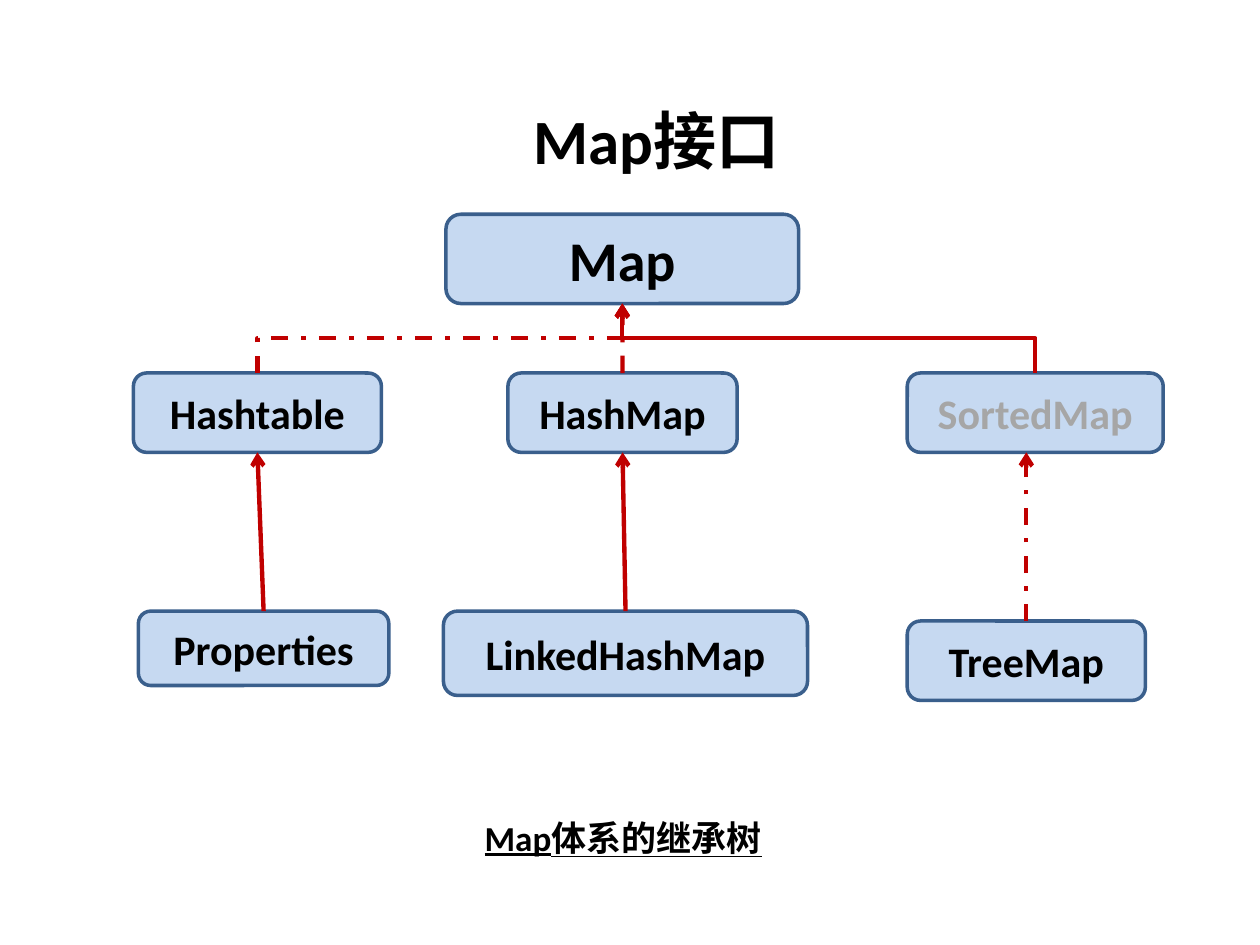
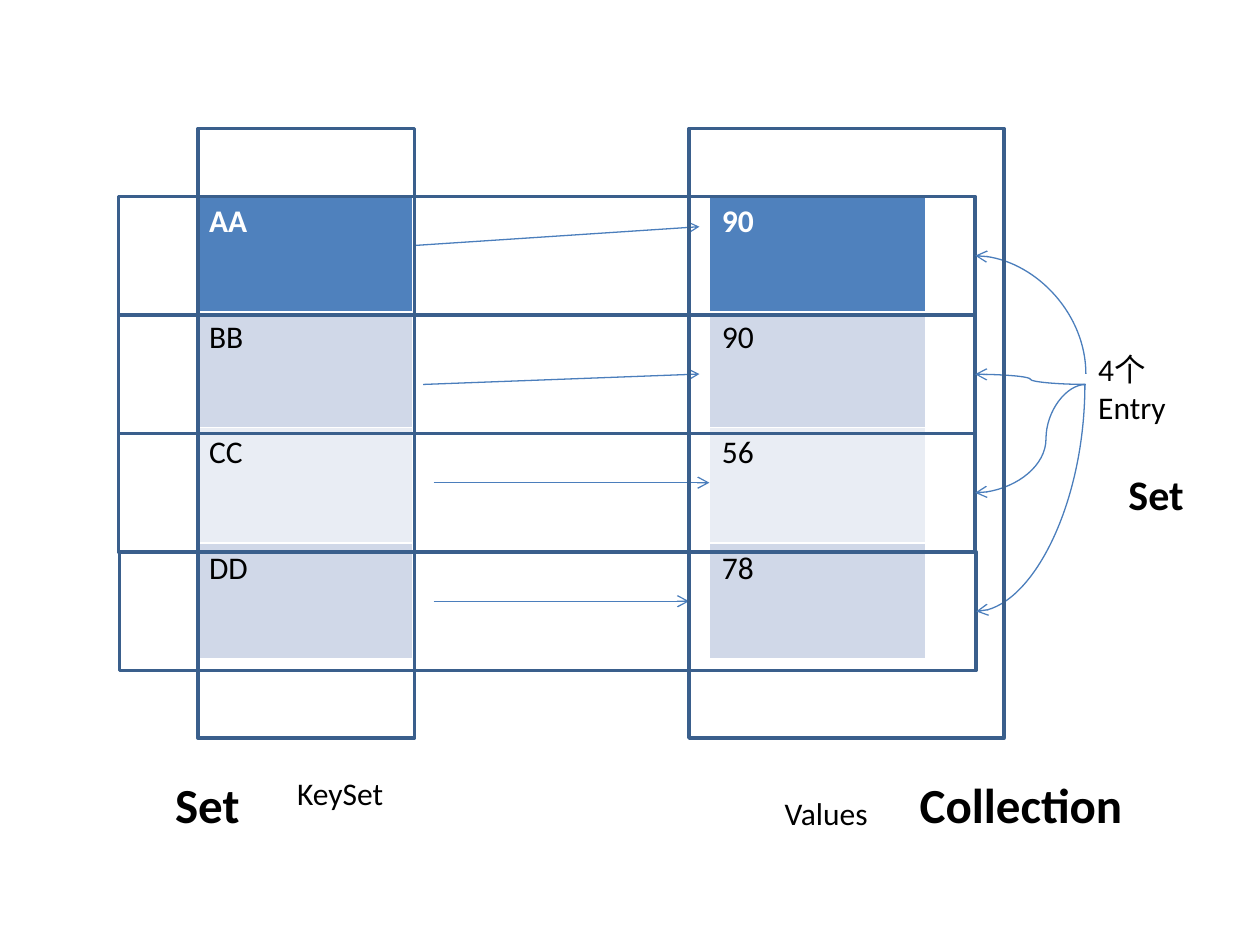
from dataclasses import dataclass

from lxml import etree
from pptx import Presentation
from pptx.dml.color import RGBColor
from pptx.enum.dml import MSO_LINE
from pptx.enum.shapes import MSO_CONNECTOR, MSO_SHAPE
from pptx.enum.text import MSO_ANCHOR, MSO_AUTO_SIZE, PP_ALIGN
from pptx.oxml.ns import qn
from pptx.util import Cm, Pt

STRAIGHT, ELBOW, CURVE = MSO_CONNECTOR.STRAIGHT, MSO_CONNECTOR.ELBOW, MSO_CONNECTOR.CURVE
RECT, ROUNDED = MSO_SHAPE.RECTANGLE, MSO_SHAPE.ROUNDED_RECTANGLE
DASH_DOT = MSO_LINE.DASH_DOT
MIDDLE, CENTER = MSO_ANCHOR.MIDDLE, PP_ALIGN.CENTER
FIT_SHAPE = MSO_AUTO_SIZE.SHAPE_TO_FIT_TEXT
TITLE_ONLY, BLANK = 5, 6


@dataclass(frozen=True)
class Theme:
    font: str = "Calibri"
    ink: str = "000000"
    white: str = "FFFFFF"
    muted: str = "A6A6A6"
    node: str = "C6D9F1"
    outline: str = "3A5F8C"
    inherit: str = "C00000"
    mapping: str = "4B7EBC"
    rows: tuple = ("4F81BD", "D0D8E8", "E9EDF4", "D0D8E8")
    title: int = 36
    root: int = 32
    kind: int = 28
    type_name: int = 24
    caption: int = 20
    body: int = 18
    outline_width: float = 2
    inherit_width: float = 2.5
    mapping_width: float = 0.75


THEME = Theme()

TITLE = ("Map接口", (7.29, 1.52, 11.89, 2.57))
CAPTION = ("Map体系的继承树", (9.52, 16.33, 6.65, 1.12))
TYPES = {
    "Map": (8.99, 4.32, 7.11, 1.8),
    "Hashtable": (2.69, 7.52, 5, 1.6),
    "HashMap": (10.24, 7.52, 4.62, 1.6),
    "SortedMap": (18.29, 7.52, 5.16, 1.6),
    "Properties": (2.79, 12.32, 5.05, 1.5),
    "LinkedHashMap": (8.94, 12.32, 7.34, 1.7),
    "TreeMap": (18.29, 12.52, 4.8, 1.6),
}
INHERITANCE = [
    ("Hashtable", "Map", ELBOW, True),
    ("SortedMap", "Map", ELBOW, False),
    ("TreeMap", "SortedMap", STRAIGHT, True),
    ("Properties", "Hashtable", STRAIGHT, False),
    ("LinkedHashMap", "HashMap", STRAIGHT, False),
    ("HashMap", "Map", STRAIGHT, True),
]

KEYS = ["AA", "BB", "CC", "DD"]
VALUES = ["90", "90", "56", "78"]
COLUMN_LEFTS = (3.96, 14.3)
COLUMN_WIDTH, ROW_HEIGHT = 4.37, 2.33
ENTRY_TOP, ENTRY_WIDTH, ENTRY_HEIGHT = 3.96, 17.27, 2.39
ENTRY_LEFTS = (2.39, 2.39, 2.39, 2.41)
KEY_FRAME = (3.99, 2.59, 4.37, 12.29)
VALUE_FRAME = (13.89, 2.59, 6.35, 12.29)
KEY_TO_VALUE = [
    ((8.33, 4.95), (14.1, 4.57)),
    ((8.53, 7.75), (14.1, 7.54)),
    ((8.74, 9.73), (14.3, 9.73)),
    ((8.74, 12.12), (13.89, 12.12)),
]
ENTRY_POINTERS = [
    ((21.89, 7.54), True, None),
    ((21.89, 7.75), False, None),
    ((21.89, 7.75), False, 0.36),
    ((21.87, 7.75), True, None),
]
LABELS = [
    ("KeySet", (5.74, 15.47, 2.97, 1.02), THEME.body, False),
    ("Values", (15.57, 15.88, 2.97, 1.02), THEME.body, False),
    ("4个Entry", (21.89, 6.93, 2.79, 1.8), THEME.body, False),
    ("Set", (3.28, 15.49, 3.51, 1.45), THEME.kind, True),
    ("Collection", (18.29, 15.49, 5.99, 1.45), THEME.kind, True),
    ("Set", (22.5, 9.32, 2.21, 1.27), THEME.type_name, True),
]


def rgb(value):
    return RGBColor.from_string(value)


def cm(lengths):
    return [Cm(length) for length in lengths]


def write(frame, text, size, bold=False, color=THEME.ink, align=None, underline=None):
    frame.text = text
    paragraph = frame.paragraphs[0]
    paragraph.alignment = align
    font = paragraph.font
    font.name, font.size, font.bold, font.underline = THEME.font, Pt(size), bold, underline
    font.color.rgb = rgb(color)


def add_label(slide, text, box, size, bold, underline=None):
    frame = slide.shapes.add_textbox(*cm(box)).text_frame
    frame.word_wrap = True
    frame.auto_size = FIT_SHAPE
    write(frame, text, size, bold, underline=underline)


def add_box(slide, preset, box, fill=None):
    shape = slide.shapes.add_shape(preset, *cm(box))
    shape.shadow.inherit = False
    if fill:
        shape.fill.solid()
        shape.fill.fore_color.rgb = rgb(fill)
    else:
        shape.fill.background()
    shape.line.color.rgb = rgb(THEME.outline)
    shape.line.width = Pt(THEME.outline_width)
    return shape


def add_arrow(slide, kind, start, end, color, width, dashed=False):
    arrow = slide.shapes.add_connector(kind, *cm(start + end))
    arrow.line.color.rgb = rgb(color)
    arrow.line.width = Pt(width)
    if dashed:
        arrow.line.dash_style = DASH_DOT
    properties = arrow._element.spPr
    etree.SubElement(properties.find(qn("a:ln")), qn("a:tailEnd"), type="arrow")
    etree.SubElement(properties, qn("a:effectLst"))
    return arrow


def leave_vertically(arrow, start, end):
    (x1, y1), (x2, y2) = start, end
    dx, dy = x2 - x1, y2 - y1
    along, across = abs(dy), abs(dx)
    arrow.left, arrow.top = Cm((x1 + x2 - along) / 2), Cm((y1 + y2 - across) / 2)
    arrow.width, arrow.height = Cm(along), Cm(across)
    transform = arrow._element.spPr.find(qn("a:xfrm"))
    transform.set("rot", str((90 if dy > 0 else 270) * 60000))
    transform.set("flipH", "0")
    transform.set("flipV", "1" if dx * dy > 0 else "0")


def add_column(slide, left, entries):
    box = (left, ENTRY_TOP, COLUMN_WIDTH, ROW_HEIGHT * len(entries))
    table = slide.shapes.add_table(len(entries), 1, *cm(box)).table
    for index, (entry, fill) in enumerate(zip(entries, THEME.rows)):
        cell = table.cell(index, 0)
        cell.fill.solid()
        cell.fill.fore_color.rgb = rgb(fill)
        head = index == 0
        write(cell.text_frame, entry, THEME.body, head, THEME.white if head else THEME.ink)


def build_tree(deck):
    slide = deck.slides.add_slide(deck.slide_layouts[TITLE_ONLY])
    title = slide.shapes.title
    text, box = TITLE
    title.left, title.top, title.width, title.height = cm(box)
    title.text_frame.vertical_anchor = MIDDLE
    write(title.text_frame, text, THEME.title, True, align=CENTER)

    for name, box in TYPES.items():
        frame = add_box(slide, ROUNDED, box, THEME.node).text_frame
        frame.vertical_anchor = MIDDLE
        size = THEME.root if name == "Map" else THEME.type_name
        color = THEME.muted if name == "SortedMap" else THEME.ink
        write(frame, name, size, True, color, CENTER)

    for child, parent, kind, dashed in INHERITANCE:
        left, top, width, _ = TYPES[child]
        start = (left + width / 2, top)
        left, top, width, height = TYPES[parent]
        end = (start[0] if child == "TreeMap" else left + width / 2, top + height)
        arrow = add_arrow(slide, kind, start, end, THEME.inherit, THEME.inherit_width, dashed)
        if kind == ELBOW:
            leave_vertically(arrow, start, end)

    add_label(slide, *CAPTION, THEME.caption, True, underline=True)


def build_entries(deck):
    slide = deck.slides.add_slide(deck.slide_layouts[BLANK])
    for left, entries in zip(COLUMN_LEFTS, (KEYS, VALUES)):
        add_column(slide, left, entries)
    for key, value in KEY_TO_VALUE:
        add_arrow(slide, STRAIGHT, key, value, THEME.mapping, THEME.mapping_width)

    for index, (left, pointer) in enumerate(zip(ENTRY_LEFTS, ENTRY_POINTERS)):
        top = ENTRY_TOP + index * ENTRY_HEIGHT
        add_box(slide, RECT, (left, top, ENTRY_WIDTH, ENTRY_HEIGHT))
        start, quarter_turn, bend = pointer
        end = (left + ENTRY_WIDTH, top + ENTRY_HEIGHT / 2)
        arrow = add_arrow(slide, CURVE, start, end, THEME.mapping, THEME.mapping_width)
        if quarter_turn:
            arrow._element.spPr.find(qn("a:prstGeom")).set("prst", "curvedConnector2")
            leave_vertically(arrow, start, end)
        if bend:
            guides = arrow._element.spPr.find(qn("a:prstGeom")).find(qn("a:avLst"))
            etree.SubElement(guides, qn("a:gd"), name="adj1", fmla=f"val {round(bend * 100000)}")

    for frame in (KEY_FRAME, VALUE_FRAME):
        add_box(slide, RECT, frame)
    for label in LABELS:
        add_label(slide, *label)


deck = Presentation()
deck.slide_width, deck.slide_height = Cm(25.4), Cm(19.05)
build_tree(deck)
build_entries(deck)
deck.save("out.pptx")
